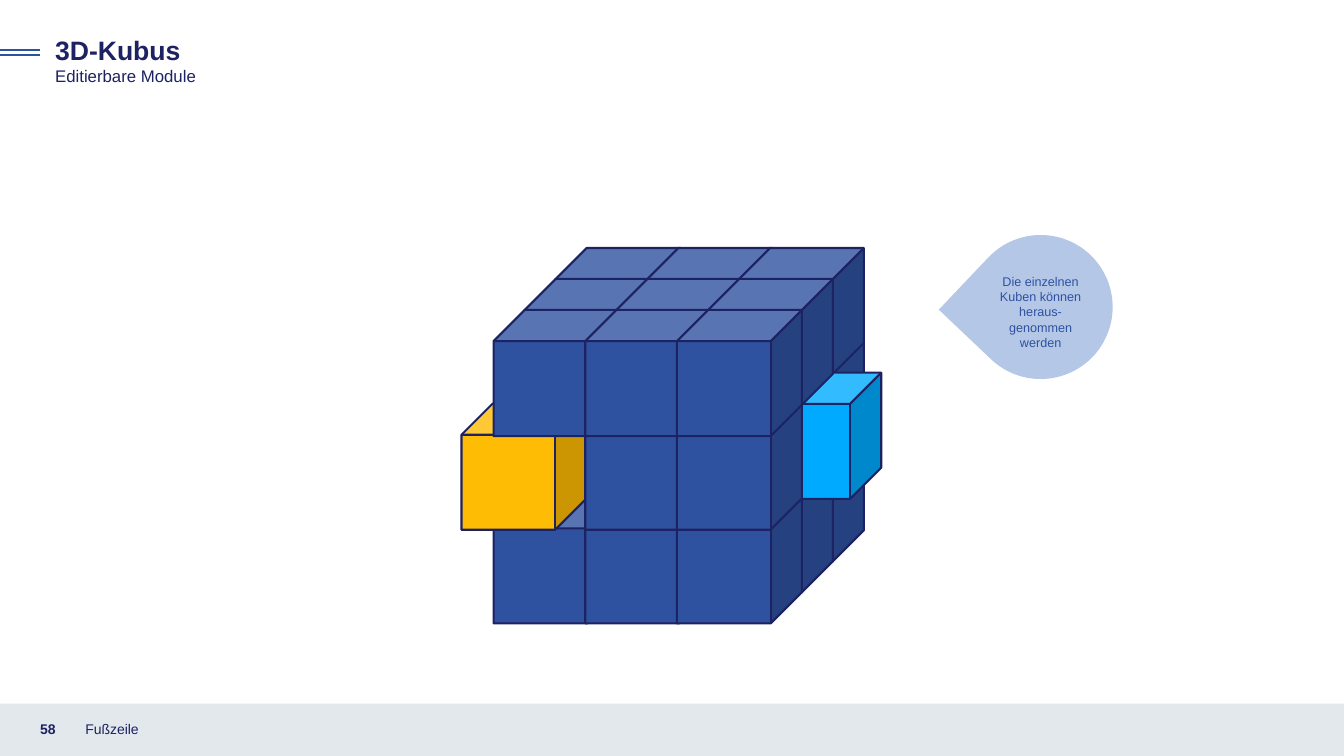
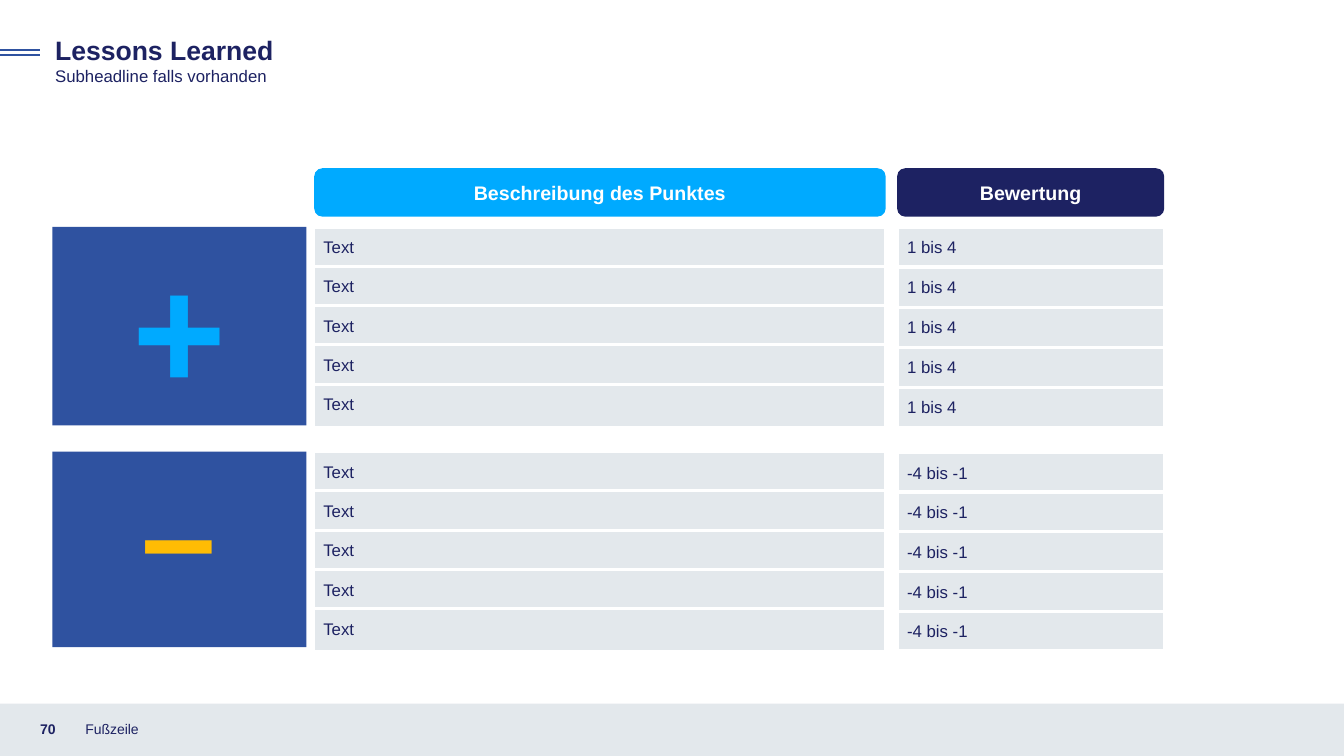
from lxml import etree
from pptx import Presentation
from pptx.dml.color import RGBColor
from pptx.enum.shapes import MSO_CONNECTOR, MSO_SHAPE
from pptx.enum.text import MSO_ANCHOR, PP_ALIGN
from pptx.oxml.ns import qn
from pptx.util import Cm, Pt

RECT, ROUNDED = MSO_SHAPE.RECTANGLE, MSO_SHAPE.ROUNDED_RECTANGLE
CUBE, TEARDROP = MSO_SHAPE.CUBE, MSO_SHAPE.TEAR
STRAIGHT = MSO_CONNECTOR.STRAIGHT
LEFT, CENTER = PP_ALIGN.LEFT, PP_ALIGN.CENTER
TOP, MIDDLE = MSO_ANCHOR.TOP, MSO_ANCHOR.MIDDLE

FONT = "Arial"
COLORS = {
    "navy": "1D2262",
    "blue": "2F52A0",
    "sky": "00AAFF",
    "yellow": "FFBC04",
    "pale": "C6D2E4",
    "bubble": "B4C7E7",
    "grey": "E3E8EC",
    "white": "FFFFFF",
}
SLIDE_W, SLIDE_H = 33.87, 19.05

# Slide content; all lengths in cm
FOOTER = "Fußzeile"
CUBE_SLIDE = {"number": "58", "title": "3D-Kubus", "subtitle": "Editierbare Module"}
LESSONS_SLIDE = {"number": "70", "title": "Lessons Learned",
                 "subtitle": "Subheadline falls vorhanden"}

CALLOUT = ["Die einzelnen", "Kuben können", "heraus-", "genommen", "werden"]
CUBES_PER_EDGE = 3
CUBE_ORIGIN = (14.0, 6.25)
CUBE_SIZE = (3.15, 3.18)
COLUMN_STEP, ROW_STEP, LAYER_STEP = 2.31, 2.36, 0.78
# (layer from the back, row, column): (colour, sideways shift)
PULLED_CUBES = {(1, 1, 2): ("sky", 1.22), (2, 1, 0): ("yellow", -0.81)}

HEADERS = [
    ("Beschreibung des Punktes", "sky", 7.92, 14.4),
    ("Bewertung", "navy", 22.61, 6.73),
]
ROWS_PER_RATING = 5
# Columns: text, left, top, width, row height, row step
RATINGS = [
    {"sign": "+", "color": "sky", "size": 115, "panel": (5.72, 5.0), "sign_top": 5.72,
     "columns": [("Text", 7.9, 5.72, 14.43, 1.09, 0.99),
                 ("1 bis 4", 22.61, 5.72, 6.73, 1.01, 1.01)]},
    {"sign": "–", "color": "yellow", "size": 96, "panel": (11.38, 4.93), "sign_top": 11.18,
     "columns": [("Text", 7.9, 11.38, 14.43, 1.09, 0.99),
                 ("-4 bis -1", 22.61, 11.4, 6.73, 1.0, 1.0)]},
]
PANEL_LEFT, PANEL_W = 1.32, 6.4


def rgb(name):
    return RGBColor.from_string(COLORS[name])


def write(shape, lines, size, color, bold=False, align=LEFT, anchor=TOP, inset=None, wrap=True):
    frame = shape.text_frame
    frame.word_wrap = wrap
    frame.vertical_anchor = anchor
    if inset is not None:
        frame.margin_left = frame.margin_right = Cm(inset)
        frame.margin_top = frame.margin_bottom = Cm(inset)
    for index, line in enumerate(lines):
        paragraph = frame.add_paragraph() if index else frame.paragraphs[0]
        paragraph.alignment = align
        run = paragraph.add_run()
        run.text = line
        run.font.name = FONT
        run.font.size = Pt(size)
        run.font.bold = bold
        run.font.color.rgb = rgb(color)


def add_text(shapes, box, lines, size, color, **style):
    write(shapes.add_textbox(*map(Cm, box)), lines, size, color, **style)


def add_block(shapes, kind, box, fill, line=None, line_width=1.5):
    block = shapes.add_shape(kind, *map(Cm, box))
    block.shadow.inherit = False
    block.fill.solid()
    block.fill.fore_color.rgb = rgb(fill)
    if line:
        block.line.color.rgb = rgb(line)
        block.line.width = Pt(line_width)
    else:
        block.line.fill.background()
    return block


def add_slide(deck, content):
    """Add a blank slide with the shared title, accent lines and footer."""
    shapes = deck.slides.add_slide(deck.slide_layouts[6]).shapes
    add_block(shapes, RECT, (0, 17.73, SLIDE_W, SLIDE_H - 17.73), "grey")
    add_text(shapes, (0.76, 17.86, 1.14, 1.02), [content["number"]], 10, "navy",
             bold=True, anchor=MIDDLE)
    add_text(shapes, (1.9, 17.86, 11.43, 1.02), [FOOTER], 10, "navy", anchor=MIDDLE)
    add_text(shapes, (1.14, 0.74, 19.61, 1.07), [content["title"]], 19, "navy", bold=True)
    add_text(shapes, (1.14, 1.52, 8.79, 0.76), [content["subtitle"]], 12, "navy")
    accent = shapes.add_group_shape().shapes
    for y in (1.25, 1.38):
        rule = accent.add_connector(STRAIGHT, Cm(0), Cm(y), Cm(1.0), Cm(y))
        rule.line.color.rgb = rgb("blue")
        rule.line.width = Pt(1.5)
        etree.SubElement(rule.line._get_or_add_ln().getparent(), qn("a:effectLst"))
    return shapes


def add_cubes(shapes):
    """Stack the cubes from back to front and from bottom to top."""
    cubes = shapes.add_group_shape().shapes
    edge = range(CUBES_PER_EDGE)
    for layer in edge:
        for row in reversed(edge):
            for column in edge:
                inner = layer < 2 and row > 0 and column < 2
                color, shift = PULLED_CUBES.get((layer, row, column),
                                                ("pale" if inner else "blue", 0))
                left = CUBE_ORIGIN[0] + column * COLUMN_STEP - layer * LAYER_STEP + shift
                top = CUBE_ORIGIN[1] + row * ROW_STEP + layer * LAYER_STEP
                add_block(cubes, CUBE, (left, top, *CUBE_SIZE), color, "navy")


def add_callout(shapes):
    callout = shapes.add_group_shape().shapes
    bubble = add_block(callout, TEARDROP, (24.41, 5.92, 3.63, 3.63), "bubble")
    bubble.rotation = 223.5
    add_text(callout, (24.89, 6.78, 2.67, 2.18), CALLOUT, 9, "blue", align=CENTER, wrap=False)


def add_rating(shapes, rating):
    top, height = rating["panel"]
    add_block(shapes, RECT, (PANEL_LEFT, top, PANEL_W, height), "blue")
    add_text(shapes, (PANEL_LEFT, rating["sign_top"], PANEL_W, height), [rating["sign"]],
             rating["size"], rating["color"], bold=True, align=CENTER,
             anchor=MIDDLE if rating["sign_top"] == top else TOP)
    for text, left, first_top, width, row_height, step in rating["columns"]:
        rows = shapes.add_group_shape().shapes
        for index in range(ROWS_PER_RATING):
            box = (left, first_top + index * step, width, row_height)
            row = add_block(rows, RECT, box, "grey", "white", 2.25)
            write(row, [text], 12, "navy", inset=0.25)


def main():
    deck = Presentation()
    deck.slide_width, deck.slide_height = Cm(SLIDE_W), Cm(SLIDE_H)

    shapes = add_slide(deck, CUBE_SLIDE)
    add_cubes(shapes)
    add_callout(shapes)

    shapes = add_slide(deck, LESSONS_SLIDE)
    for text, color, left, width in HEADERS:
        header = add_block(shapes, ROUNDED, (left, 4.24, width, 1.22), color)
        write(header, [text], 14, "white", bold=True, align=CENTER, anchor=MIDDLE)
    for rating in RATINGS:
        add_rating(shapes, rating)

    deck.save("out.pptx")


if __name__ == "__main__":
    main()
